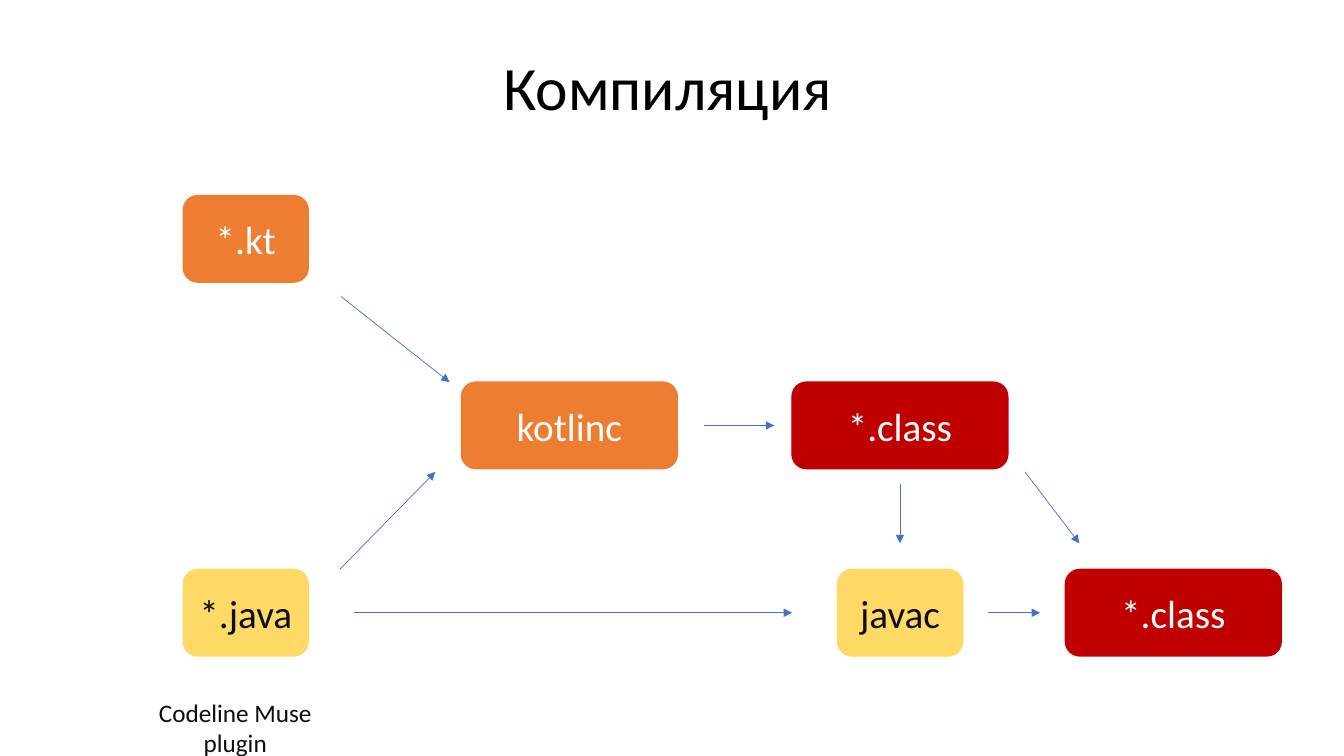
from dataclasses import dataclass

from lxml.etree import SubElement
from pptx import Presentation
from pptx.dml.color import RGBColor
from pptx.enum.shapes import MSO_CONNECTOR, MSO_SHAPE
from pptx.enum.text import MSO_ANCHOR, MSO_AUTO_SIZE, PP_ALIGN
from pptx.oxml.ns import qn
from pptx.slide import Slide
from pptx.text.text import TextFrame
from pptx.util import Cm, Pt

COLORS = {
    "kotlin": "ED7D31",
    "java": "FFD966",
    "bytecode": "C00000",
    "arrow": "4472C4",
    "light": "FFFFFF",
    "dark": "0D0D0D",
    "title": "000000",
}
FONT = "Calibri"
NARROW, WIDE = 3.15, 5.44
STAGE_HEIGHT = 2.18
SOURCE_ROW, KOTLIN_ROW, JAVA_ROW = 4.93, 9.63, 14.35
KOTLIN_AXIS = KOTLIN_ROW + STAGE_HEIGHT / 2
JAVA_AXIS = JAVA_ROW + STAGE_HEIGHT / 2


@dataclass(frozen=True)
class Stage:
    label: str
    left: float
    top: float
    width: float
    fill: str
    ink: str


@dataclass(frozen=True)
class Flow:
    start: tuple[float, float]
    end: tuple[float, float]


STAGES = [
    Stage("*.kt", 4.62, SOURCE_ROW, NARROW, "kotlin", "light"),
    Stage("kotlinc", 11.63, KOTLIN_ROW, WIDE, "kotlin", "light"),
    Stage("*.java", 4.62, JAVA_ROW, NARROW, "java", "dark"),
    Stage("*.class", 19.96, KOTLIN_ROW, WIDE, "bytecode", "light"),
    Stage("javac", 21.11, JAVA_ROW, NARROW, "java", "dark"),
    Stage("*.class", 26.85, JAVA_ROW, WIDE, "bytecode", "light"),
]

FLOWS = [
    Flow((8.59, 7.47), (11.33, KOTLIN_ROW)),
    Flow((8.56, JAVA_ROW), (10.97, 11.89)),
    Flow((17.75, KOTLIN_AXIS), (19.51, KOTLIN_AXIS)),
    Flow((22.68, 12.19), (22.68, 13.69)),
    Flow((8.92, JAVA_AXIS), (19.96, JAVA_AXIS)),
    Flow((24.89, JAVA_AXIS), (26.21, JAVA_AXIS)),
    Flow((25.83, 11.89), (27.2, 13.69)),
]


def color(name: str) -> RGBColor:
    return RGBColor.from_string(COLORS[name])


def write(frame: TextFrame, text: str, size: int, ink: str) -> None:
    frame.text = text
    paragraph = frame.paragraphs[0]
    paragraph.alignment = PP_ALIGN.CENTER
    paragraph.font.name = FONT
    paragraph.font.size = Pt(size)
    paragraph.font.color.rgb = color(ink)


def draw_title(slide: Slide, text: str) -> None:
    title = slide.shapes.title
    title.left, title.top = Cm(9.75), Cm(0.43)
    title.width, title.height = Cm(14.15), Cm(3.68)
    write(title.text_frame, text, 44, "title")
    title.text_frame.auto_size = MSO_AUTO_SIZE.NONE
    title.text_frame.vertical_anchor = MSO_ANCHOR.MIDDLE
    title.text_frame.paragraphs[0].line_spacing = 0.9


def draw_stage(slide: Slide, stage: Stage) -> None:
    box = slide.shapes.add_shape(
        MSO_SHAPE.ROUNDED_RECTANGLE,
        Cm(stage.left), Cm(stage.top), Cm(stage.width), Cm(STAGE_HEIGHT),
    )
    box.shadow.inherit = False
    box.fill.solid()
    box.fill.fore_color.rgb = color(stage.fill)
    box.line.color.rgb = color(stage.fill)
    box.line.width = Pt(1)
    box.text_frame.vertical_anchor = MSO_ANCHOR.MIDDLE
    write(box.text_frame, stage.label, 28, stage.ink)


def draw_flow(slide: Slide, flow: Flow) -> None:
    arrow = slide.shapes.add_connector(
        MSO_CONNECTOR.STRAIGHT, *(Cm(value) for value in flow.start + flow.end)
    )
    arrow.line.color.rgb = color("arrow")
    arrow.line.width = Pt(0.5)
    properties = arrow.element.spPr
    SubElement(properties.find(qn("a:ln")), qn("a:tailEnd"), type="triangle")
    SubElement(properties, qn("a:effectLst"))


def draw_plugin_note(slide: Slide, text: str) -> None:
    note = slide.shapes.add_textbox(Cm(3.35), Cm(17.45), Cm(5.16), Cm(1.02))
    note.text_frame.word_wrap = False
    note.text_frame.auto_size = MSO_AUTO_SIZE.SHAPE_TO_FIT_TEXT
    write(note.text_frame, text, 18, "dark")


def main() -> None:
    presentation = Presentation()
    presentation.slide_width, presentation.slide_height = Cm(33.87), Cm(19.05)
    slide = presentation.slides.add_slide(presentation.slide_layouts[5])
    draw_title(slide, "Компиляция")
    for stage in STAGES:
        draw_stage(slide, stage)
    for flow in FLOWS:
        draw_flow(slide, flow)
    draw_plugin_note(slide, "Codeline Muse plugin")
    presentation.save("out.pptx")


if __name__ == "__main__":
    main()
